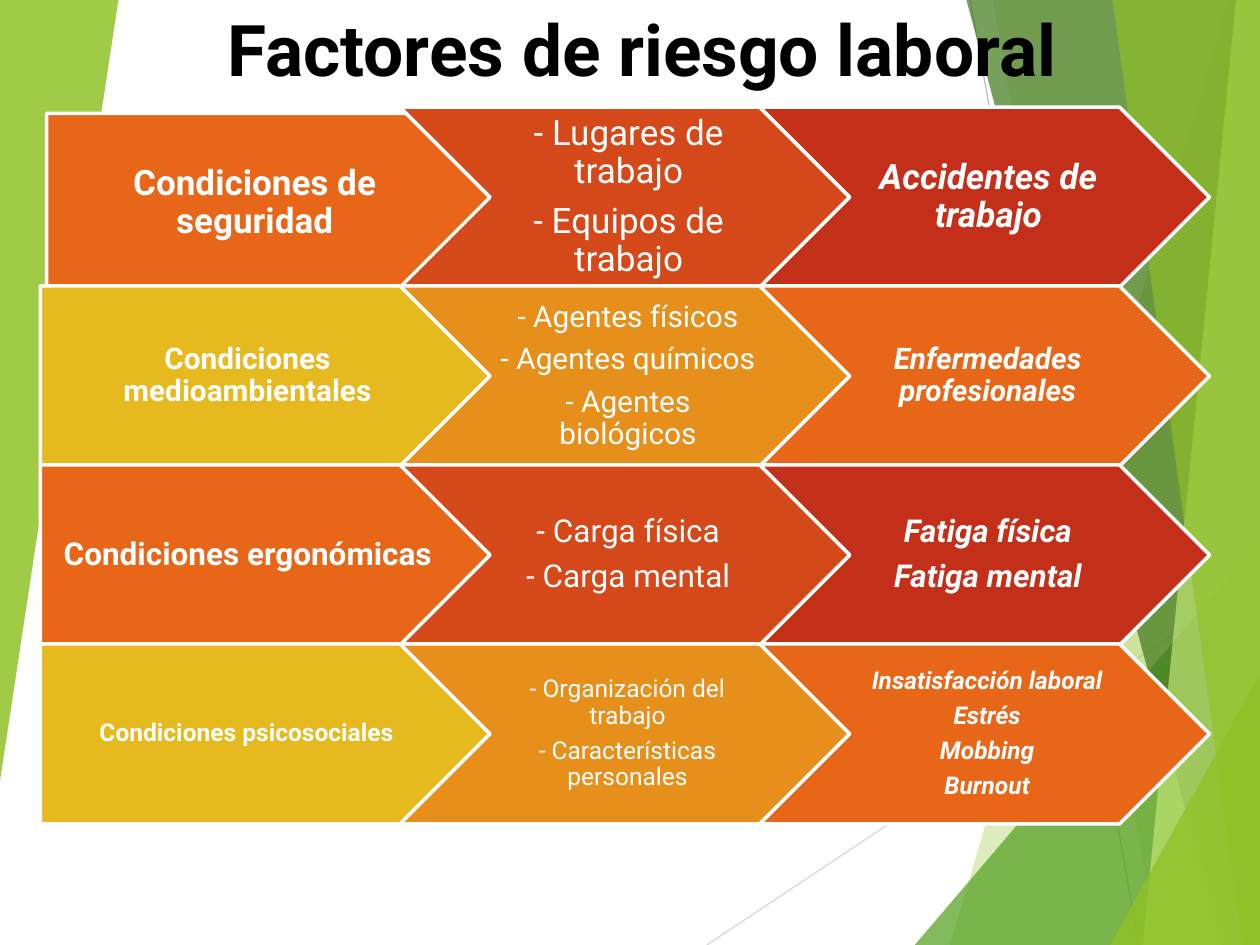
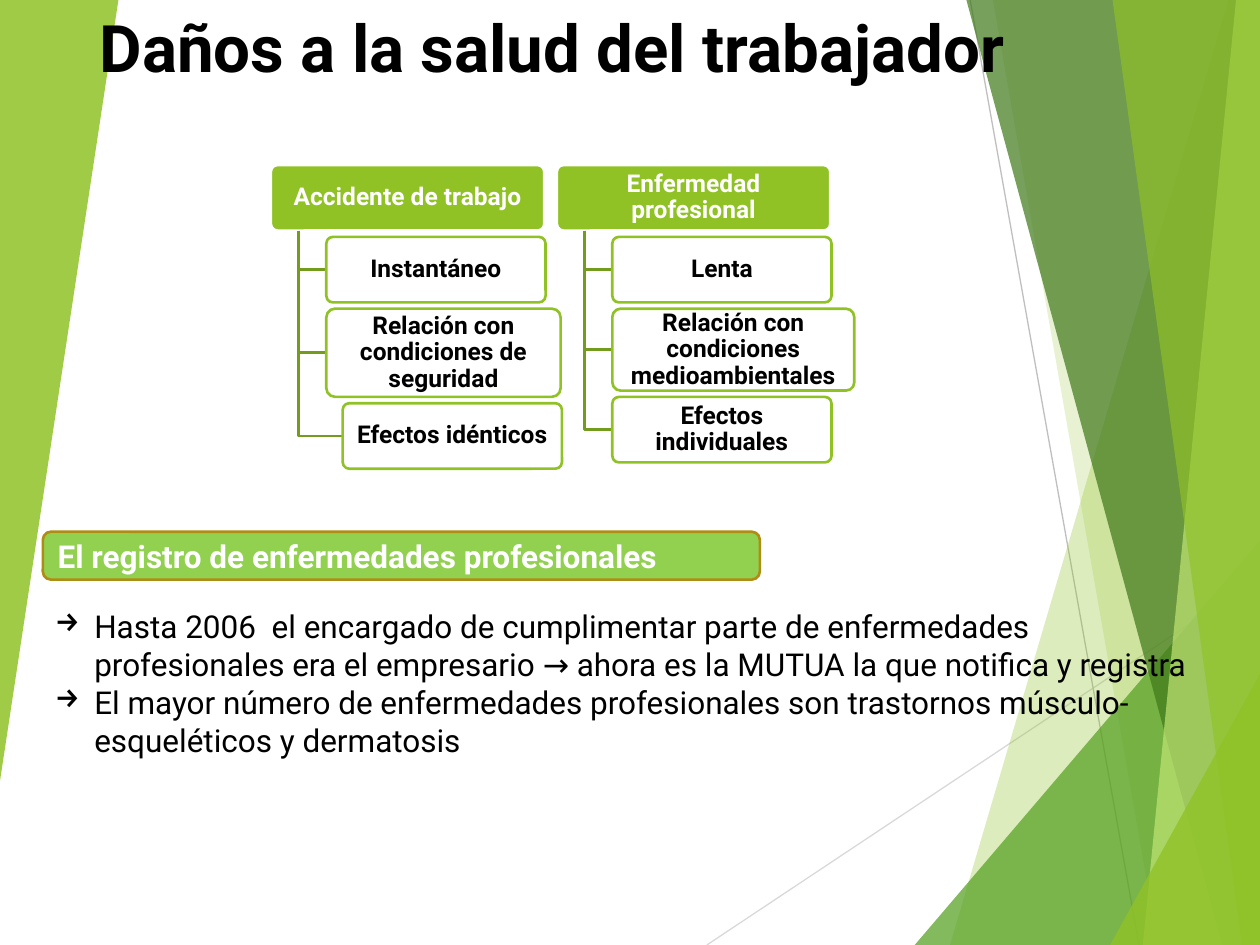
from dataclasses import dataclass

from lxml import etree
from pptx import Presentation
from pptx import util as u
from pptx.dml.color import RGBColor
from pptx.enum import shapes, text
from pptx.oxml import ns

In = u.Inches
Kind = shapes.MSO_SHAPE
Mid = text.MSO_ANCHOR.MIDDLE
Top = text.MSO_ANCHOR.TOP
Left, Center = text.PP_ALIGN.LEFT, text.PP_ALIGN.CENTER


@dataclass(frozen=True)
class Theme:
    font: str = "Roboto"
    white: str = "FFFFFF"
    black: str = "000000"
    green: str = "90C226"
    leaf: str = "54A021"
    dark: str = "3F7819"
    lime: str = "C0E474"
    trunk: str = "739B1E"
    band: str = "92D050"
    gold: str = "AF8C14"
    warm: tuple = ("E76618", "D54819", "C42F1A")
    light: tuple = ("E6B91E", "E6901B", "E76618")
    body: float = 18
    small: float = 14


T = Theme()

# Facets of the backdrop: corner points, colour, opacity in percent
FACETS = [
    ([(9.75, 0), (7.54, 7.5), (10, 7.5), (10, 0)], T.green, 30),
    ([(7.88, 0), (9.19, 7.5), (10, 7.5), (10, 0)], T.green, 20),
    ([(7.26, 7.5), (10, 4.29), (10, 7.5)], T.leaf, 72),
    ([(7.67, 0), (9.7, 7.5), (10, 7.5), (10, 0)], T.dark, 70),
    ([(9.81, 0), (9.07, 7.5), (10, 7.5), (10, 0)], T.lime, 70),
    ([(8.83, 0), (9.86, 7.5), (10, 7.5), (10, 0)], T.green, 65),
    ([(8.81, 7.5), (10, 5.35), (10, 7.5)], T.green, 80),
    ([(0, 0), (0.94, 0), (0, 6.2)], T.green, 85),
]
RAYS = [((5.61, 7.5), (10, 4.58), "D9D9D9"), ((7.7, 0), (9.04, 7.5), "BFBFBF")]

# Rows of the risk chart: size, condition, factors, damage
RISKS = [
    (20, ["Condiciones de seguridad"],
     ["- Lugares de trabajo", "- Equipos de trabajo"],
     ["Accidentes de trabajo"]),
    (17, ["Condiciones medioambientales"],
     ["- Agentes físicos", "- Agentes químicos", "- Agentes biológicos"],
     ["Enfermedades profesionales"]),
    (18, ["Condiciones ergonómicas"],
     ["- Carga física", "- Carga mental"],
     ["Fatiga física", "Fatiga mental"]),
    (14, ["Condiciones psicosociales"],
     ["- Organización del trabajo", "- Características personales"],
     ["Insatisfacción laboral", "Estrés", "Mobbing", "Burnout"]),
]

# Trees of damage: heading, then children as text, indent, width, height
TREES = [
    ("Accidente de trabajo", [
        ("Instantáneo", 0.44, 1.74, 0.52),
        ("Relación con condiciones de seguridad", 0.44, 1.86, 0.7),
        ("Efectos idénticos", 0.57, 1.74, 0.52)]),
    ("Enfermedad profesional", [
        ("Lenta", 0.44, 1.74, 0.52),
        ("Relación con condiciones medioambientales", 0.44, 1.92, 0.65),
        ("Efectos individuales", 0.44, 1.74, 0.52)]),
]

NOTES = [
    "Hasta 2006  el encargado de cumplimentar parte de enfermedades "
    "profesionales era el empresario → ahora es la MUTUA la que notifica y registra",
    "El mayor número de enfermedades profesionales son trastornos "
    "músculo-esqueléticos y dermatosis",
]


def rgb(code):
    return RGBColor.from_string(code)


def paint(shape, fill=None, line=None, width=1.5, alpha=None):
    """Set fill, opacity and outline, and drop the shadow."""
    shape.shadow.inherit = False
    if fill:
        shape.fill.solid()
        shape.fill.fore_color.rgb = rgb(fill)
        if alpha:
            tone = shape.element.spPr.find(".//" + ns.qn("a:srgbClr"))
            etree.SubElement(tone, ns.qn("a:alpha"), val=str(alpha * 1000))
    else:
        shape.fill.background()
    if line:
        shape.line.color.rgb = rgb(line)
        shape.line.width = u.Pt(width)
    else:
        shape.line.fill.background()


def write(shape, lines, size=T.body, color=T.black, bold=False, italic=False,
          align=Left, anchor=Mid, inset=(0.1, 0.05, 0.1, 0.05),
          pitch=None, gap=0, bullet=None):
    """Fill a shape with paragraphs; gap is a share of the type size."""
    frame = shape.text_frame
    frame.word_wrap = True
    frame.auto_size = text.MSO_AUTO_SIZE.NONE
    frame.vertical_anchor = anchor
    (frame.margin_left, frame.margin_top,
     frame.margin_right, frame.margin_bottom) = map(In, inset)
    for i, words in enumerate(lines):
        para = frame.add_paragraph() if i else frame.paragraphs[0]
        para.alignment = align
        if pitch:
            para.line_spacing = pitch
        if i and gap:
            para.space_before = u.Pt(round(size * gap, 1))
        if bullet:
            props = para._p.get_or_add_pPr()
            props.set("marL", str(In(0.31)))
            props.set("indent", str(-In(0.31)))
            etree.SubElement(props, ns.qn("a:buChar"), char=bullet)
        run = para.add_run()
        run.text = words
        font = run.font
        font.name, font.size = T.font, u.Pt(size)
        font.bold, font.italic = bold, italic
        font.color.rgb = rgb(color)


def add(slide, kind, box, adj=None, **look):
    shape = slide.shapes.add_shape(kind, *map(In, box))
    if adj is not None:
        shape.adjustments[0] = adj
    paint(shape, **look)
    return shape


def trace(tree, points, close=True, **look):
    start, *rest = [(In(x), In(y)) for x, y in points]
    pen = tree.build_freeform(*start)
    pen.add_line_segments(rest, close=close)
    shape = pen.convert_to_shape()
    paint(shape, **look)
    return shape


def back(slide, layout):
    """Build the backdrop and hand it to the shared layout."""
    group = slide.shapes.add_group_shape()
    for start, end, color in RAYS:
        ray = group.shapes.add_connector(
            shapes.MSO_CONNECTOR.STRAIGHT, *map(In, start + end))
        ray.line.color.rgb = rgb(color)
        ray.line.width = u.Pt(0.75)
        etree.SubElement(ray.element.spPr, ns.qn("a:effectLst"))
    for points, color, alpha in FACETS:
        trace(group.shapes, points, fill=color, alpha=alpha)
    for i, tag in enumerate(group.element.iter(ns.qn("p:cNvPr")), 20):
        tag.set("id", str(i))
    layout.shapes.element.append(group.element)


def head(slide, words, box, size, **form):
    title = slide.shapes.title
    title.left, title.top, title.width, title.height = map(In, box)
    write(title, [words], size=size, bold=True, **form)


def risks(slide, x, y, w, h, step):
    """Rows of arrows; each chevron nests into the point before it."""
    for r, (size, *cells) in enumerate(RISKS):
        tones = T.light if r % 2 else T.warm
        for c, lines in enumerate(cells):
            nudge = 0.05 if r == c == 0 else 0
            box = (x + c * (w - h / 2) + nudge, y + r * step + nudge, w, h)
            arrow = add(slide, Kind.CHEVRON if c else Kind.PENTAGON, box, 0.5,
                        fill=tones[c], line=T.white, width=2)
            side = size * (0.0044 if c else 0.006)
            write(arrow, lines, size=size, color=T.white, bold=c != 1,
                  italic=c == 2, align=Center, pitch=0.9, gap=0.35,
                  inset=(side, size * 0.003, size * 0.0015, size * 0.003))


def tree(slide, x, y, name, kids):
    """A heading with its children hung from a trunk."""
    form = dict(size=T.small, bold=True, align=Center, pitch=0.9,
                inset=(0.03, 0.02, 0.03, 0.02))
    tall, gap, stem = 0.52, 0.05, x + 0.22
    root = add(slide, Kind.ROUNDED_RECTANGLE, (x, y, 2.17, tall), 0.1,
               fill=T.green, line=T.white)
    write(root, [name], color=T.white, **form)
    foot = y + tall
    top = foot + gap
    for words, shift, w, h in kids:
        mid = top + h / 2
        trace(slide.shapes, [(stem, foot), (stem, mid), (x + shift, mid)],
              close=False, line=T.trunk)
        leaf = add(slide, Kind.ROUNDED_RECTANGLE, (x + shift, top, w, h), 0.1,
                   fill=T.white, line=T.green, alpha=90)
        write(leaf, [words], **form)
        top += h + gap


def record(slide, x, y):
    """The green heading and the notes below it."""
    bar = add(slide, Kind.ROUNDED_RECTANGLE, (x, y, 5.69, 0.38),
              fill=T.band, line=T.gold)
    write(bar, ["El registro de enfermedades profesionales"],
          color=T.white, bold=True)
    notes = slide.shapes.add_textbox(*map(In, (x, y + 0.55, 9.3, 1.31)))
    write(notes, NOTES, anchor=Top, bullet="→")


def main():
    deck = Presentation()
    deck.slide_width, deck.slide_height = In(10), In(7.5)
    layout = deck.slide_layouts[5]

    # Risk factors
    first = deck.slides.add_slide(layout)
    back(first, layout)
    head(first, "Factores de riesgo laboral", (0.19, 0, 9.81, 0.76), 40.7,
         align=Center)
    risks(first, 0.32, 0.85, 3.57, 1.43, 1.42)

    # Damage to health
    second = deck.slides.add_slide(layout)
    head(second, "Daños a la salud del trabajador", (0.16, 0.05, 9, 0.63), 37.4,
         inset=(0.63, 0.05, 0.1, 0.05))
    for i, (name, kids) in enumerate(TREES):
        tree(second, 2.15 + i * 2.27, 1.31, name, kids)
    record(second, 0.34, 4.22)

    deck.save("out.pptx")


if __name__ == "__main__":
    main()
